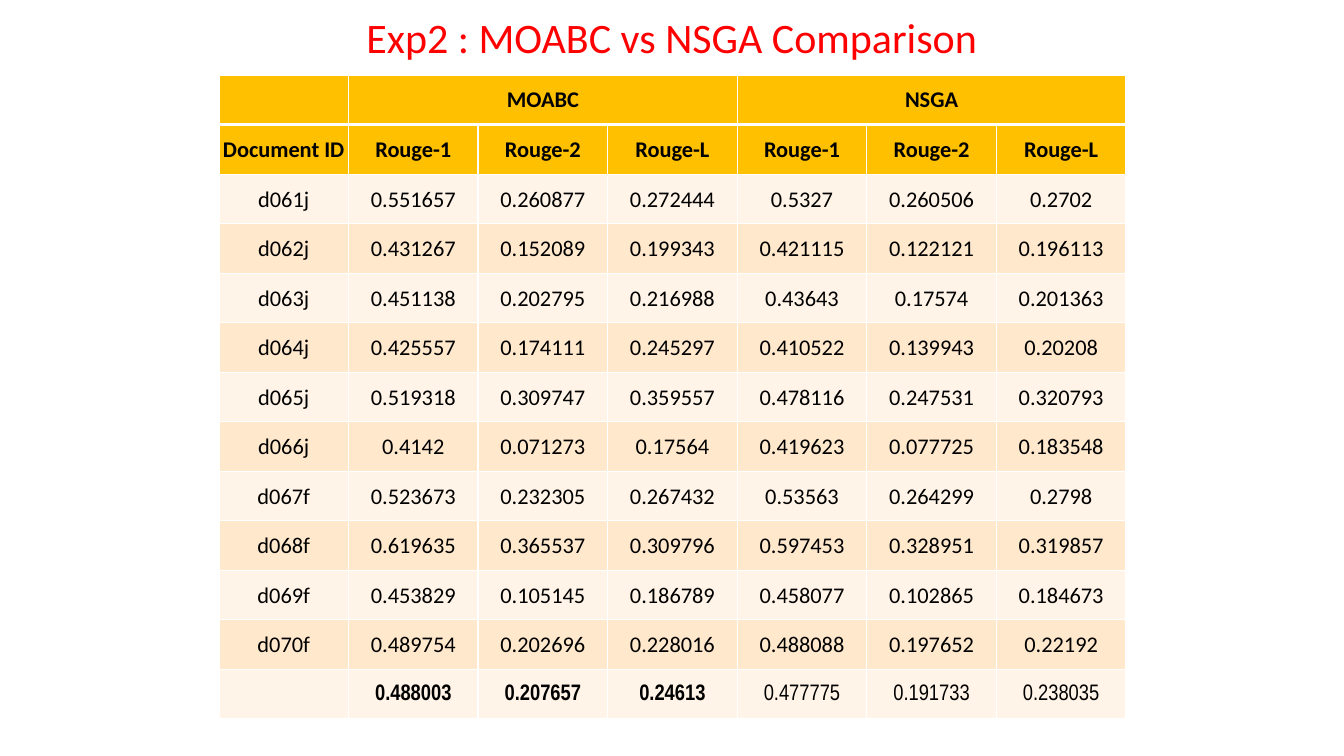
"""Build the MOABC vs NSGA comparison slide."""
from dataclasses import dataclass

from lxml import etree
from pptx import Presentation
from pptx.dml.color import RGBColor
from pptx.enum.text import MSO_ANCHOR, PP_ALIGN
from pptx.oxml.ns import qn
from pptx.util import Pt

CENTER = PP_ALIGN.CENTER
MIDDLE = MSO_ANCHOR.MIDDLE
BOTTOM = MSO_ANCHOR.BOTTOM

TITLE = "Exp2 : MOABC vs NSGA Comparison"
METHODS = ["MOABC", "NSGA"]
METRICS = ["Rouge-1", "Rouge-2", "Rouge-L"]
SCORES = [
    ("d061j", "0.551657", "0.260877", "0.272444", "0.5327", "0.260506", "0.2702"),
    ("d062j", "0.431267", "0.152089", "0.199343", "0.421115", "0.122121", "0.196113"),
    ("d063j", "0.451138", "0.202795", "0.216988", "0.43643", "0.17574", "0.201363"),
    ("d064j", "0.425557", "0.174111", "0.245297", "0.410522", "0.139943", "0.20208"),
    ("d065j", "0.519318", "0.309747", "0.359557", "0.478116", "0.247531", "0.320793"),
    ("d066j", "0.4142", "0.071273", "0.17564", "0.419623", "0.077725", "0.183548"),
    ("d067f", "0.523673", "0.232305", "0.267432", "0.53563", "0.264299", "0.2798"),
    ("d068f", "0.619635", "0.365537", "0.309796", "0.597453", "0.328951", "0.319857"),
    ("d069f", "0.453829", "0.105145", "0.186789", "0.458077", "0.102865", "0.184673"),
    ("d070f", "0.489754", "0.202696", "0.228016", "0.488088", "0.197652", "0.22192"),
]
AVERAGES = ("", "0.488003", "0.207657", "0.24613", "0.477775", "0.191733", "0.238035")


@dataclass(frozen=True)
class Theme:
    title_color: str = "FF0000"
    text_color: str = "000000"
    header_fill: str = "FFC000"
    band_fills: tuple = ("FFF4E7", "FFE8CC")
    border_color: str = "FFFFFF"
    font: str = "Calibri"
    average_font: str = "Arial Narrow"
    title_size: int = 30
    table_size: int = 16
    thin: int = 1
    thick: int = 3


THEME = Theme()
SLIDE_WIDTH, SLIDE_HEIGHT = 960, 540
TITLE_TOP, TITLE_HEIGHT, TITLE_LIFT = 20, 50, 25
TABLE_LEFT, TABLE_TOP, TABLE_WIDTH, TABLE_HEIGHT = 156.4, 53.6, 648, 460
CELL_INSET = 0.75


def format_paragraph(paragraph, font, size, color, bold=False):
    paragraph.alignment = CENTER
    for run in paragraph.runs:
        run.font.name = font
        run.font.size = Pt(size)
        run.font.bold = bold
        run.font.color.rgb = RGBColor.from_string(color)


def set_borders(cell, top, bottom):
    properties = cell._tc.get_or_add_tcPr()
    widths = {"a:lnL": THEME.thin, "a:lnR": THEME.thin, "a:lnT": top, "a:lnB": bottom}
    for position, (tag, width) in enumerate(widths.items()):
        line = etree.Element(qn(tag), w=str(Pt(width)))
        fill = etree.SubElement(line, qn("a:solidFill"))
        etree.SubElement(fill, qn("a:srgbClr"), val=THEME.border_color)
        properties.insert(position, line)


def add_title(slide):
    box = slide.shapes.add_textbox(0, Pt(TITLE_TOP), Pt(SLIDE_WIDTH), Pt(TITLE_HEIGHT))
    frame = box.text_frame
    frame.word_wrap = True
    frame.vertical_anchor = BOTTOM
    frame.margin_top = 0
    frame.margin_bottom = Pt(TITLE_LIFT)
    frame.text = TITLE
    paragraph = frame.paragraphs[0]
    paragraph.line_spacing = 0.9
    format_paragraph(paragraph, THEME.font, THEME.title_size, THEME.title_color)


def add_scores(slide):
    span = len(METRICS)
    method_row = [""]
    for method in METHODS:
        method_row += [method] + [""] * (span - 1)
    headers = [method_row, ["Document ID"] + METRICS * len(METHODS)]
    rows = headers + SCORES + [AVERAGES]
    table = slide.shapes.add_table(
        len(rows), len(method_row),
        Pt(TABLE_LEFT), Pt(TABLE_TOP), Pt(TABLE_WIDTH), Pt(TABLE_HEIGHT),
    ).table
    for column in table.columns:
        column.width = Pt(TABLE_WIDTH / len(method_row))
    for row in table.rows:
        row.height = Pt(TABLE_HEIGHT / len(rows))

    for row_index, values in enumerate(rows):
        is_header = row_index < len(headers)
        is_average = values is AVERAGES
        band = THEME.band_fills[row_index % 2]
        fill = THEME.header_fill if is_header else band
        font = THEME.average_font if is_average else THEME.font
        top = THEME.thick if row_index == 1 else THEME.thin
        bottom = THEME.thick if row_index == 0 else THEME.thin
        for column_index, value in enumerate(values):
            cell = table.cell(row_index, column_index)
            cell.text = value
            cell.vertical_anchor = MIDDLE
            cell.margin_left = cell.margin_right = cell.margin_top = Pt(CELL_INSET)
            cell.margin_bottom = 0
            cell.fill.solid()
            cell.fill.fore_color.rgb = RGBColor.from_string(fill)
            set_borders(cell, top, bottom)
            bold = is_header or (is_average and column_index <= span)
            format_paragraph(
                cell.text_frame.paragraphs[0], font, THEME.table_size, THEME.text_color, bold
            )

    for first in range(1, len(method_row), span):
        table.cell(0, first).merge(table.cell(0, first + span - 1))


def main():
    presentation = Presentation()
    presentation.slide_width = Pt(SLIDE_WIDTH)
    presentation.slide_height = Pt(SLIDE_HEIGHT)
    slide = presentation.slides.add_slide(presentation.slide_layouts[6])
    add_scores(slide)
    add_title(slide)
    presentation.save("out.pptx")


if __name__ == "__main__":
    main()
